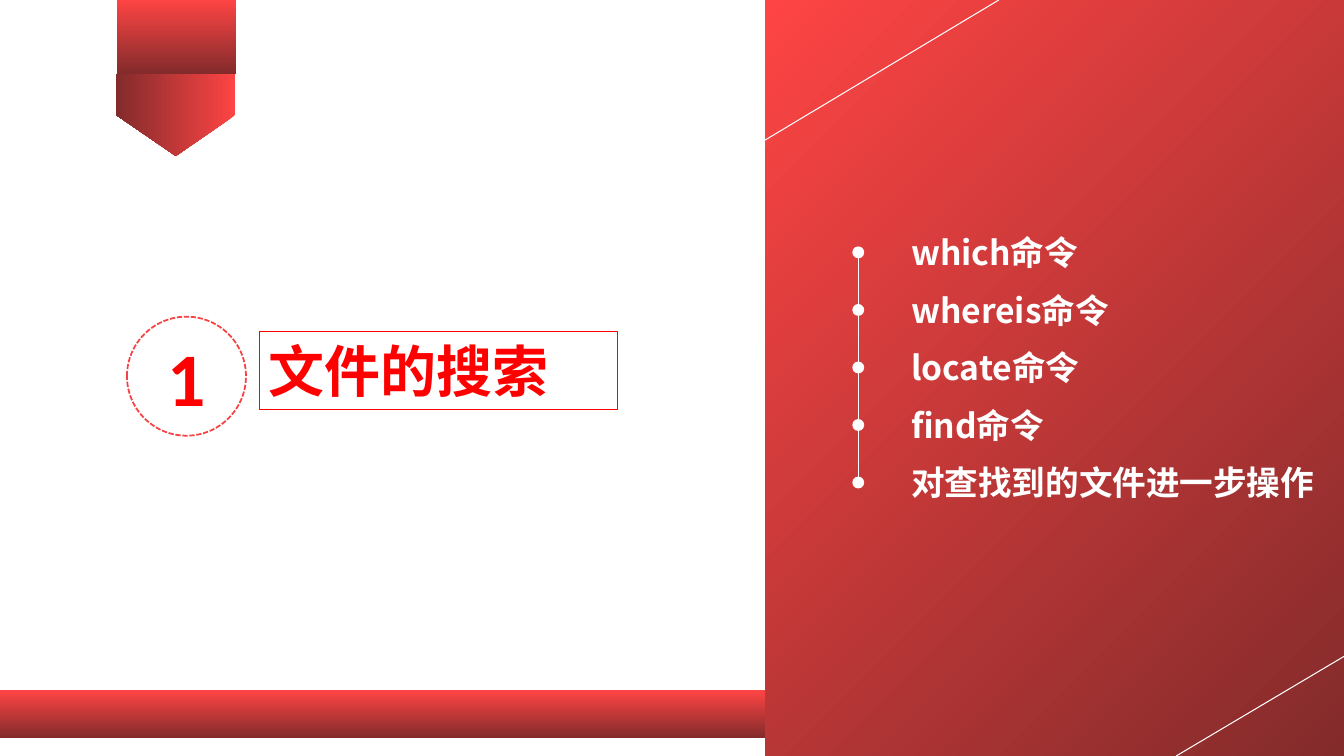
import pptx
import pptx.util
import pptx.dml.color
import pptx.enum.dml
import pptx.enum.shapes
import pptx.enum.text
import pptx.oxml.ns
import lxml.etree

Cm = pptx.util.Cm
Pt = pptx.util.Pt
Shape = pptx.enum.shapes.MSO_SHAPE
Align = pptx.enum.text.PP_ALIGN
Anchor = pptx.enum.text.MSO_ANCHOR
qn = pptx.oxml.ns.qn

COLORS = {"light": "FE4444", "dark": "832B2B", "title": "FF0000",
          "ring": "F64242", "white": "FFFFFF"}


def rgb(name):
    return pptx.dml.color.RGBColor.from_string(COLORS[name])


class SectionSlide:
    """Draws the elements of a section slide in one style."""

    font = "Noto Sans CJK SC"

    def __init__(self, slide):
        self.shapes = slide.shapes

    def shape(self, kind, left, top, width, height, fill=None):
        shape = self.shapes.add_shape(kind, Cm(left), Cm(top), Cm(width), Cm(height))
        shape.shadow.inherit = False
        shape.line.fill.background()
        if fill:
            shape.fill.solid()
            shape.fill.fore_color.rgb = rgb(fill)
        else:
            shape.fill.background()
        return shape

    def gradient(self, kind, left, top, width, height, angle=270):
        shape = self.shape(kind, left, top, width, height)
        shape.fill.gradient()
        shape.fill.gradient_angle = angle
        for stop, color in zip(shape.fill.gradient_stops, ("light", "dark")):
            stop.color.rgb = rgb(color)
        return shape

    def outline(self, shape, color, width):
        shape.line.color.rgb = rgb(color)
        shape.line.width = Pt(width)

    def line(self, x1, y1, x2, y2, width):
        line = self.shapes.add_connector(
            pptx.enum.shapes.MSO_CONNECTOR.STRAIGHT, Cm(x1), Cm(y1), Cm(x2), Cm(y2))
        self.outline(line, "white", width)
        lxml.etree.SubElement(line._element.spPr, qn("a:effectLst"))

    def set_text(self, shape, text, size, color, align=Align.LEFT,
                 anchor=Anchor.TOP, font=font):
        frame = shape.text_frame
        frame.text = text
        frame.word_wrap = True
        frame.vertical_anchor = anchor
        paragraph = frame.paragraphs[0]
        paragraph.alignment = align
        run = paragraph.runs[0]
        run.font.size = Pt(size)
        run.font.bold = True
        run.font.name = font
        run.font.color.rgb = rgb(color)
        east_asian = lxml.etree.SubElement(run.font._element, qn("a:ea"))
        east_asian.set("typeface", font)

    def label(self, text, left, top, width, height):
        box = self.shapes.add_textbox(Cm(left), Cm(top), Cm(width), Cm(height))
        self.set_text(box, text, 24, "white")


def main():
    deck = pptx.Presentation()
    deck.slide_width, deck.slide_height = Cm(33.87), Cm(19.05)
    page = SectionSlide(deck.slides.add_slide(deck.slide_layouts[6]))

    ribbon_tip = page.gradient(Shape.PENTAGON, 3.4, 1.4, 2.06, 3)
    ribbon_tip.rotation = 90
    page.gradient(Shape.RECTANGLE, 2.95, 0, 3, 1.86)
    page.gradient(Shape.RECTANGLE, 0, 17.4, 19.28, 1.2)

    number = page.shape(Shape.OVAL, 3.2, 7.98, 3, 3, "white")
    page.outline(number, "ring", 1.25)
    number.line.dash_style = pptx.enum.dml.MSO_LINE.SQUARE_DOT
    page.set_text(number, "1", 54, "title", Align.CENTER, Anchor.MIDDLE, "Calibri")

    title = page.shape(Shape.RECTANGLE, 6.53, 8.36, 9.04, 1.96)
    page.outline(title, "title", 0.75)
    page.set_text(title, "文件的搜索", 40, "title")

    page.gradient(Shape.RECTANGLE, 19.28, 0, 14.59, 19.05, 315)
    page.line(25.17, 0, 19.28, 3.53, 0.75)
    page.line(33.87, 16.54, 29.64, 19.05, 0.75)

    commands = ["which命令", "whereis命令", "locate命令", "find命令",
                "对查找到的文件进一步操作"]
    center_x, first_y, pitch, dot = 21.63, 6.36, 1.45, 0.3
    for index, command in enumerate(commands):
        y = first_y + index * pitch
        if index:
            page.line(center_x, y - pitch + dot / 2, center_x, y - dot / 2, 1)
        page.shape(Shape.OVAL, center_x - dot / 2, y - dot / 2, dot, dot, "white")
        page.label(command, 22.71, y - 0.64, 10.97, 1.28)

    deck.save("out.pptx")


if __name__ == "__main__":
    main()
